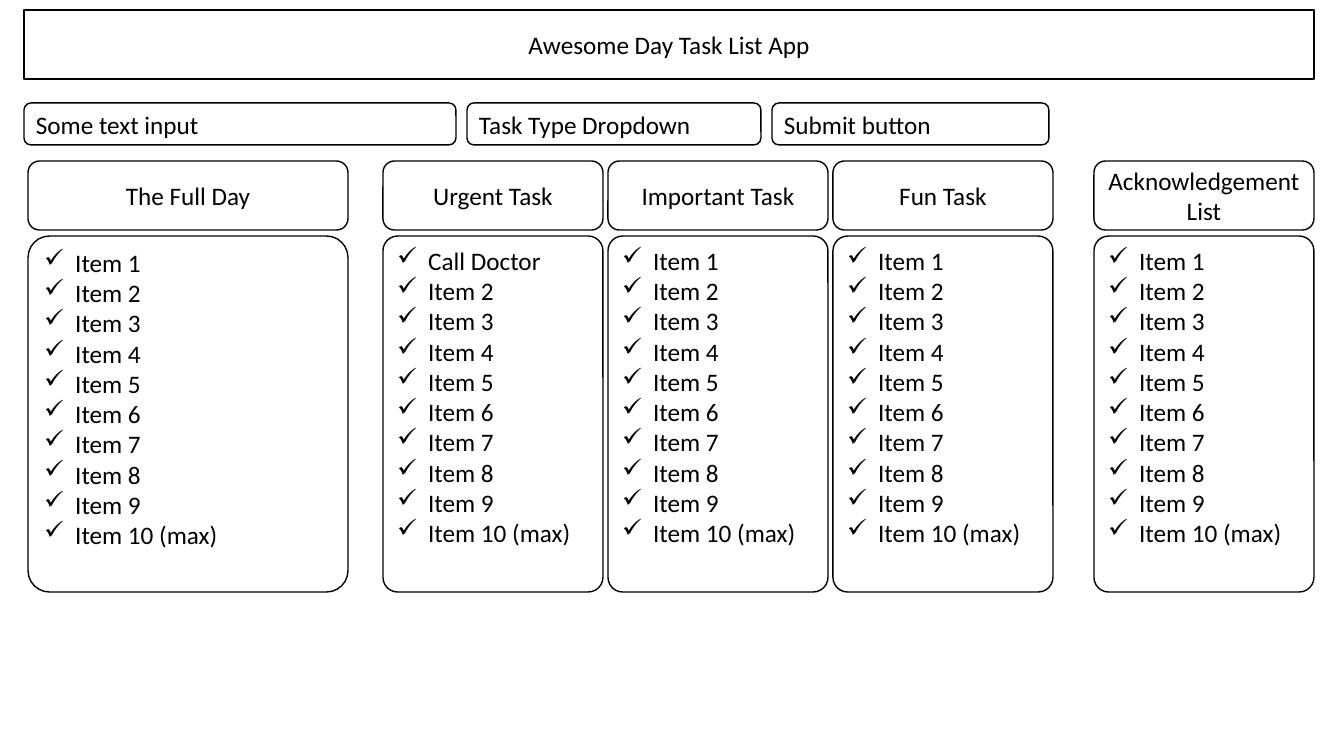
from lxml import etree
from pptx import Presentation
from pptx import util as u
from pptx.dml import color
from pptx.enum import shapes, text
from pptx.oxml import ns

PX = 914400 / 100.8
COLORS = {"ink": "000000"}
INK = color.RGBColor.from_string(COLORS["ink"])


def px(n):
    return u.Emu(round(n * PX))


def style(sp, lines, align, anchor=text.MSO_ANCHOR.MIDDLE):
    sp.fill.background()
    sp.line.color.rgb = INK
    sp.line.width = u.Pt(1)
    tf = sp.text_frame
    tf.word_wrap = True
    tf.auto_size = text.MSO_AUTO_SIZE.NONE
    tf.vertical_anchor = anchor
    tf.text = "\n".join(lines)
    for p in tf.paragraphs:
        p.alignment = align
        p.font.name = "Calibri"
        p.font.size = u.Pt(18)
        p.font.color.rgb = INK


def add_box(parent, x, y, w, h, lines, align, anchor=text.MSO_ANCHOR.MIDDLE):
    sp = parent.add_shape(shapes.MSO_SHAPE.ROUNDED_RECTANGLE, px(x), px(y), px(w), px(h))
    sp.shadow.inherit = False
    style(sp, lines, align, anchor)
    return sp


CENTER, LEFT = text.PP_ALIGN.CENTER, text.PP_ALIGN.LEFT

prs = Presentation()
prs.slide_width, prs.slide_height = px(1344), px(756)
s = prs.slides.add_slide(prs.slide_layouts[5])

title = s.shapes.title
title.left, title.top, title.width, title.height = px(24), px(10), px(1290), px(69)
geom = etree.SubElement(title.element.spPr, ns.qn("a:prstGeom"), prst="roundRect")
etree.SubElement(geom, ns.qn("a:avLst"))
style(title, ["Awesome Day Task List App"], CENTER)

form = s.shapes.add_group_shape()
x = 24
for label, width in [("Some text input", 432), ("Task Type Dropdown", 294), ("Submit button", 277)]:
    add_box(form.shapes, x, 103, width, 42, [label], LEFT)
    x += width + 11

columns = [
    ("The Full Day", 28, 320, "Item 1"),
    ("Urgent Task", 383, 220, "Call Doctor"),
    ("Important Task", 608, 220, "Item 1"),
    ("Fun Task", 833, 220, "Item 1"),
    ("Acknowledgement List", 1094, 220, "Item 1"),
]
for heading, x, width, first in columns:
    add_box(s.shapes, x, 161, width, 69, [heading], CENTER)
    items = [first] + [f"Item {n}" for n in range(2, 10)] + ["Item 10 (max)"]
    task_list = add_box(s.shapes, x, 236, width, 356, items, LEFT, text.MSO_ANCHOR.TOP)
    task_list.adjustments[0] = 0.067
    for p in task_list.text_frame.paragraphs:
        pPr = p._p.get_or_add_pPr()
        pPr.set("marL", str(px(31)))
        pPr.set("indent", str(-px(31)))
        bullet = etree.Element(ns.qn("a:buChar"), char="✓")
        pPr.insert(0, bullet)

prs.save("out.pptx")
